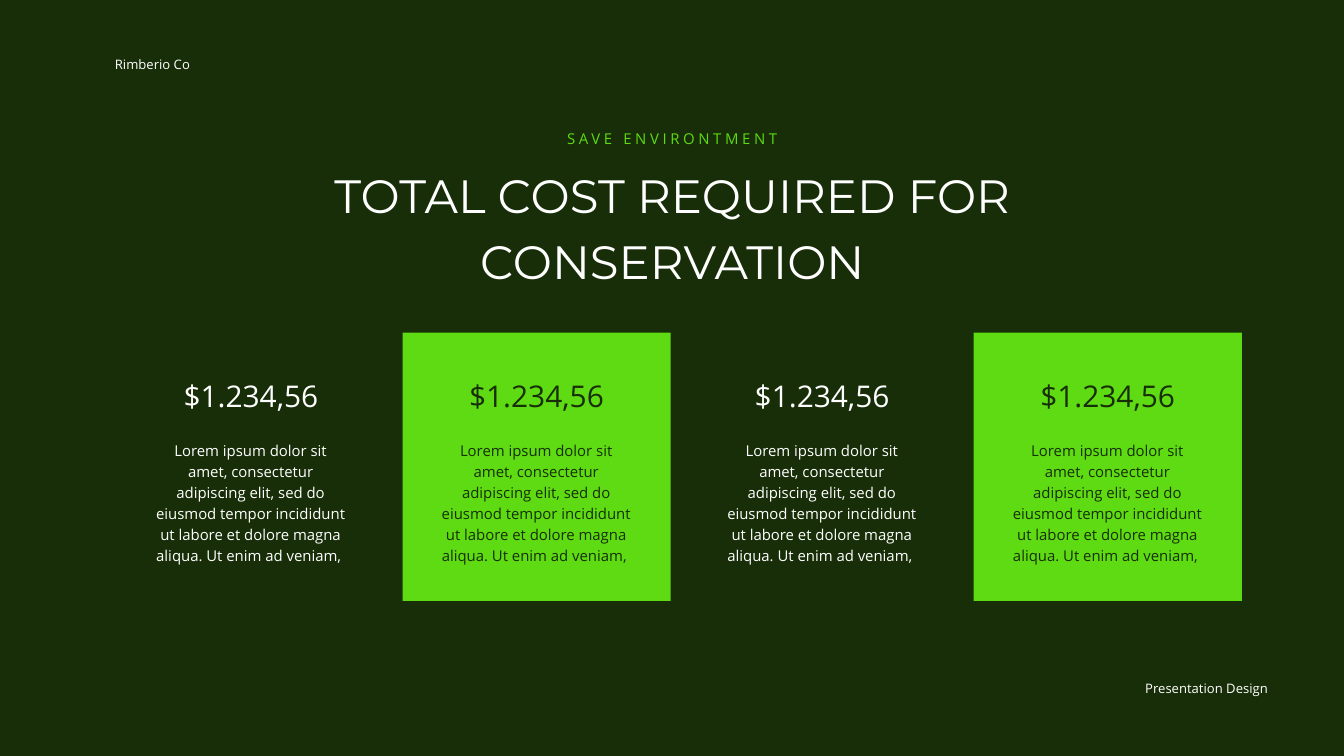
from pptx import Presentation
from pptx.dml.color import RGBColor
from pptx.enum.shapes import MSO_SHAPE
from pptx.enum.text import MSO_AUTO_SIZE, PP_ALIGN
from pptx.util import Inches, Pt

LEFT, MID, RIGHT = PP_ALIGN.LEFT, PP_ALIGN.CENTER, PP_ALIGN.RIGHT
RECT = MSO_SHAPE.RECTANGLE
FIT = MSO_AUTO_SIZE.SHAPE_TO_FIT_TEXT
DARK, GREEN, WHITE = "172E08", "5EDB12", "FFFFFF"
SIDE, PITCH, START, TOP = 3.99, 4.25, 1.74, 4.95
PRICE = "$1.234,56"
BODY = (
    "Lorem ipsum dolor sit amet, consectetur adipiscing elit, sed do "
    "eiusmod tempor incididunt ut labore et dolore magna aliqua. "
    "Ut enim ad veniam, "
)


def paint(target, color):
    target.solid()
    target.fore_color.rgb = RGBColor.from_string(color)


def add_text(slide, text, box, size, color, align=MID, font="Open Sans", gap=0):
    shape = slide.shapes.add_textbox(*map(Inches, box))
    frame = shape.text_frame
    frame.margin_left = frame.margin_right = 0
    frame.margin_top = frame.margin_bottom = 0
    frame.word_wrap = True
    frame.auto_size = FIT
    frame.text = text
    para = frame.paragraphs[0]
    para.alignment = align
    para.line_spacing = Pt(size * 1.4)
    run = para.runs[0]
    run.font.name = font
    run.font.size = Pt(size)
    paint(run.font.fill, color)
    if gap:
        run._r.get_or_add_rPr().set("spc", str(round(gap * 100)))


def add_panel(slide, left):
    panel = slide.shapes.add_shape(
        RECT, Inches(left), Inches(TOP), Inches(SIDE), Inches(SIDE)
    )
    panel.shadow.inherit = False
    paint(panel.fill, GREEN)
    panel.line.fill.background()


def add_card(slide, left, filled):
    color = DARK if filled else WHITE
    if filled:
        add_panel(slide, left)
    add_text(slide, BODY, (left + 0.54, 6.53, 2.9, 1.8), 16, color)
    add_text(slide, PRICE, (left, 5.53, SIDE, 0.59), 32, color)


def main():
    deck = Presentation()
    deck.slide_width, deck.slide_height = Inches(20), Inches(11.25)
    slide = deck.slides.add_slide(deck.slide_layouts[6])
    paint(slide.background.fill, DARK)

    add_text(slide, "Rimberio Co", (1.71, 0.8, 1.89, 0.26), 14, WHITE, LEFT)
    add_text(slide, "Presentation Design", (16.49, 10.09, 2.38, 0.26), 14, WHITE, RIGHT)
    for col in range(4):
        add_card(slide, START + col * PITCH, filled=col % 2 == 1)
    add_text(
        slide, "TOTAL COST REQUIRED FOR CONSERVATION",
        (4.85, 2.35, 10.31, 1.89), 50, WHITE, font="Montserrat",
    )
    add_text(slide, "SAVE ENVIRONTMENT", (8.02, 1.89, 3.97, 0.29), 16, GREEN, gap=3.9)

    deck.save("out.pptx")


if __name__ == "__main__":
    main()
